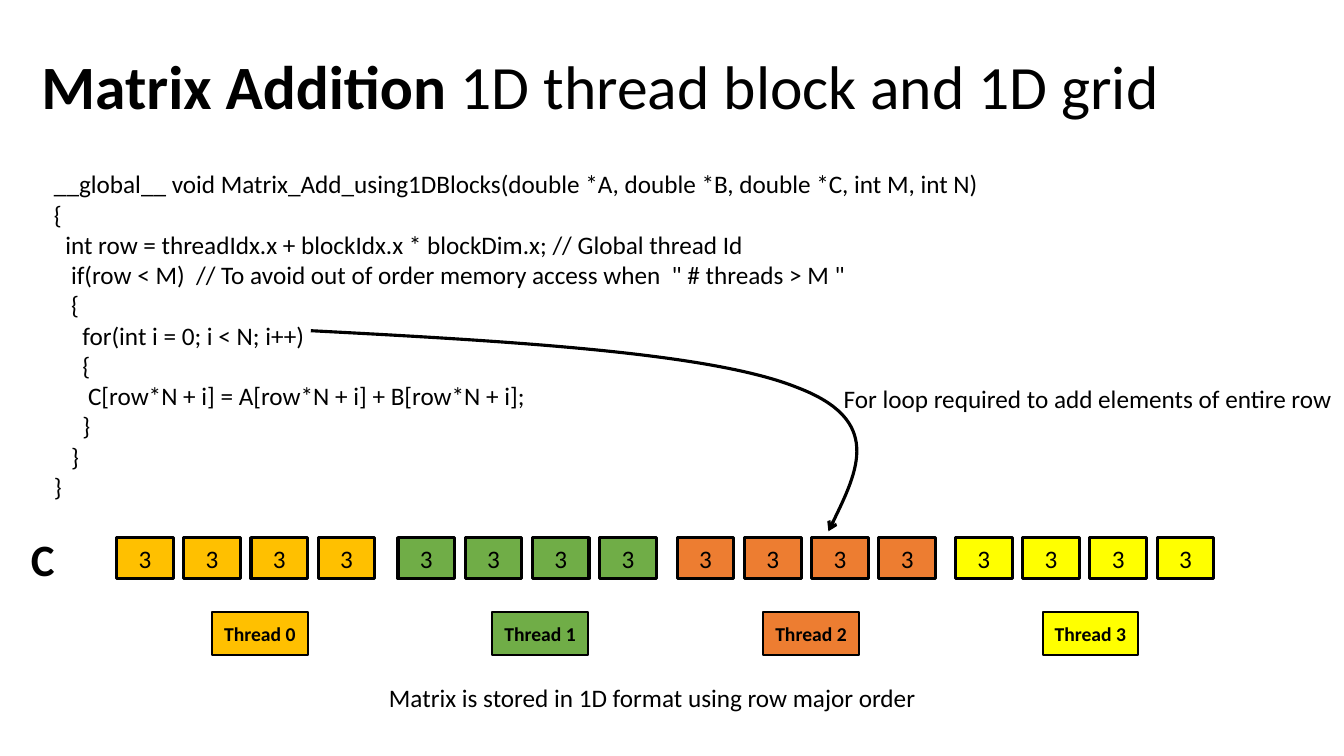
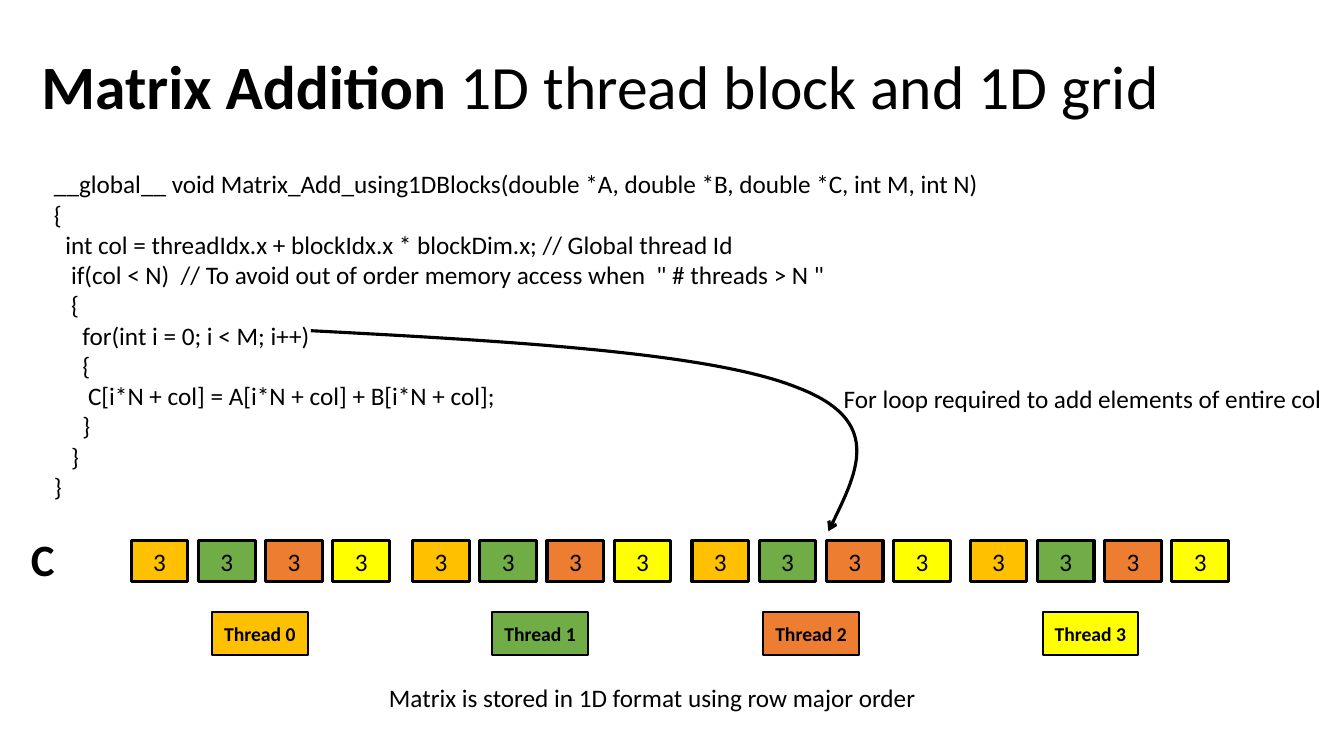
from pptx import Presentation
from pptx.dml.color import RGBColor
from pptx.enum.shapes import MSO_SHAPE
from pptx.enum.text import MSO_ANCHOR, MSO_AUTO_SIZE, PP_ALIGN
from pptx.oxml.ns import qn
from pptx.util import Pt
from lxml.etree import SubElement

PX = 9525  # EMU in one px, 96 px to the inch
BLACK = RGBColor(0x00, 0x00, 0x00)
AMBER = RGBColor(0xFF, 0xC0, 0x00)
GREEN = RGBColor(0x70, 0xAD, 0x47)
ORANGE = RGBColor(0xED, 0x7D, 0x31)
YELLOW = RGBColor(0xFF, 0xFF, 0x00)
THREAD_COLORS = (AMBER, GREEN, ORANGE, YELLOW)

GROUP_LEFTS = (111, 379, 645, 910)
LABEL_LEFTS = (202, 469, 727, 993)
CELL_PITCH = 64
LOOP_CURVE = ((296, 315), (487, 325), (677, 336), (759, 369),
              (841, 400), (815, 453), (789, 506))
CURVE_WIDTH = 518


class Deck:
    font = "Calibri"

    def __init__(self):
        self.deck = Presentation()
        self.deck.slide_width = 1280 * PX
        self.deck.slide_height = 720 * PX
        self.page = None

    def new_page(self):
        self.page = self.deck.slides.add_slide(self.deck.slide_layouts[6])

    def add_span(self, para, text, size, bold=False):
        span = para.add_run()
        span.text = text
        span.font.name = self.font
        span.font.size = Pt(size)
        span.font.bold = bold
        span.font.color.rgb = BLACK

    def text_box(self, left, top, width, height, wrap=True):
        box = self.page.shapes.add_textbox(left * PX, top * PX, width * PX, height * PX)
        box.text_frame.word_wrap = wrap
        return box.text_frame

    def title(self, strong, plain):
        frame = self.text_box(30, 16, 1104, 139)
        frame.vertical_anchor = MSO_ANCHOR.MIDDLE
        para = frame.paragraphs[0]
        para.line_spacing = 0.9
        self.add_span(para, strong, 44, bold=True)
        self.add_span(para, plain, 44)

    def text(self, area, lines, size=18, bold=False, wrap=True):
        frame = self.text_box(*area, wrap=wrap)
        frame.auto_size = MSO_AUTO_SIZE.SHAPE_TO_FIT_TEXT
        for number, line in enumerate(lines):
            para = frame.add_paragraph() if number else frame.paragraphs[0]
            self.add_span(para, line, size, bold)

    def tile(self, area, text, color, size, border, bold=False):
        tile = self.page.shapes.add_shape(MSO_SHAPE.RECTANGLE, *(n * PX for n in area))
        tile.shadow.inherit = False
        tile.fill.solid()
        tile.fill.fore_color.rgb = color
        tile.line.color.rgb = BLACK
        tile.line.width = Pt(border)
        tile.text_frame.vertical_anchor = MSO_ANCHOR.MIDDLE
        para = tile.text_frame.paragraphs[0]
        para.alignment = PP_ALIGN.CENTER
        self.add_span(para, text, size, bold)

    def curved_arrow(self, points, width):
        """Draw Bézier arcs through a start point and three points per arc.

        The width is that of the curve, without its outer control points.
        """
        builder = self.page.shapes.build_freeform(*points[0], scale=PX)
        builder.add_line_segments(points[1:], close=False)
        curve = builder.convert_to_shape()
        curve.shadow.inherit = False
        curve.fill.background()
        curve.line.color.rgb = BLACK
        curve.line.width = Pt(2.25)
        stroke = next(curve.element.iter(qn("a:ln")))
        SubElement(stroke, qn("a:tailEnd"), type="arrow")

        outline = next(curve.element.iter(qn("a:path")))
        segments = outline.findall(qn("a:lnTo"))
        for first in range(0, len(segments), 3):
            arc = SubElement(outline, qn("a:cubicBezTo"))
            for segment in segments[first:first + 3]:
                arc.append(segment[0])
                outline.remove(segment)
        outline.set("w", str(int(outline.get("w")) * width * PX // curve.width))
        curve.width = width * PX

    def save(self):
        self.deck.save("out.pptx")


def kernel(index, limit, loop_limit, element):
    return (
        "__global__ void Matrix_Add_using1DBlocks(double *A, double *B, double *C, int M, int N)",
        "{",
        f"  int {index} = threadIdx.x + blockIdx.x * blockDim.x; // Global thread Id",
        f"   if({index} < {limit})  // To avoid out of order memory access when  \" # threads > {limit} \"",
        "   {",
        f"     for(int i = 0; i < {loop_limit}; i++)",
        "     {",
        f"      C[{element}] = A[{element}] + B[{element}];",
        "     }",
        "   }",
        "}",
    )


def matrix_page(deck, code, index, note_width, shift, top, owner):
    """Add a page; owner(group, cell) gives the thread that adds a cell."""
    deck.new_page()
    deck.title("Matrix Addition ", "1D thread block and 1D grid")
    deck.text((42, 156, 903, 329), code)
    for group, left in enumerate(GROUP_LEFTS):
        for cell in range(4):
            area = (left + shift + cell * CELL_PITCH, top, 54, 39)
            deck.tile(area, "3", THREAD_COLORS[owner(group, cell)], 18, 2.25)
    for thread, (left, color) in enumerate(zip(LABEL_LEFTS, THREAD_COLORS)):
        deck.tile((left, 583, 91, 41), f"Thread {thread}", color, 14, 1.5, bold=True)
    deck.text((20, 502, 43, 61), ["C"], size=32, bold=True)
    deck.text((361, 645, 526, 38),
              ["Matrix is stored in 1D format using row major order"], wrap=False)
    deck.curved_arrow(LOOP_CURVE, CURVE_WIDTH)
    deck.text((794, 360, note_width, 38),
              [f"For loop required to add elements of entire {index}"], wrap=False)


def main():
    deck = Deck()
    matrix_page(deck, kernel("row", "M", "N", "row*N + i"), "row", 490,
                shift=0, top=512, owner=lambda group, cell: group)
    matrix_page(deck, kernel("col", "N", "M", "i*N + col"), "col", 480,
                shift=14, top=515, owner=lambda group, cell: cell)
    deck.save()


if __name__ == "__main__":
    main()
